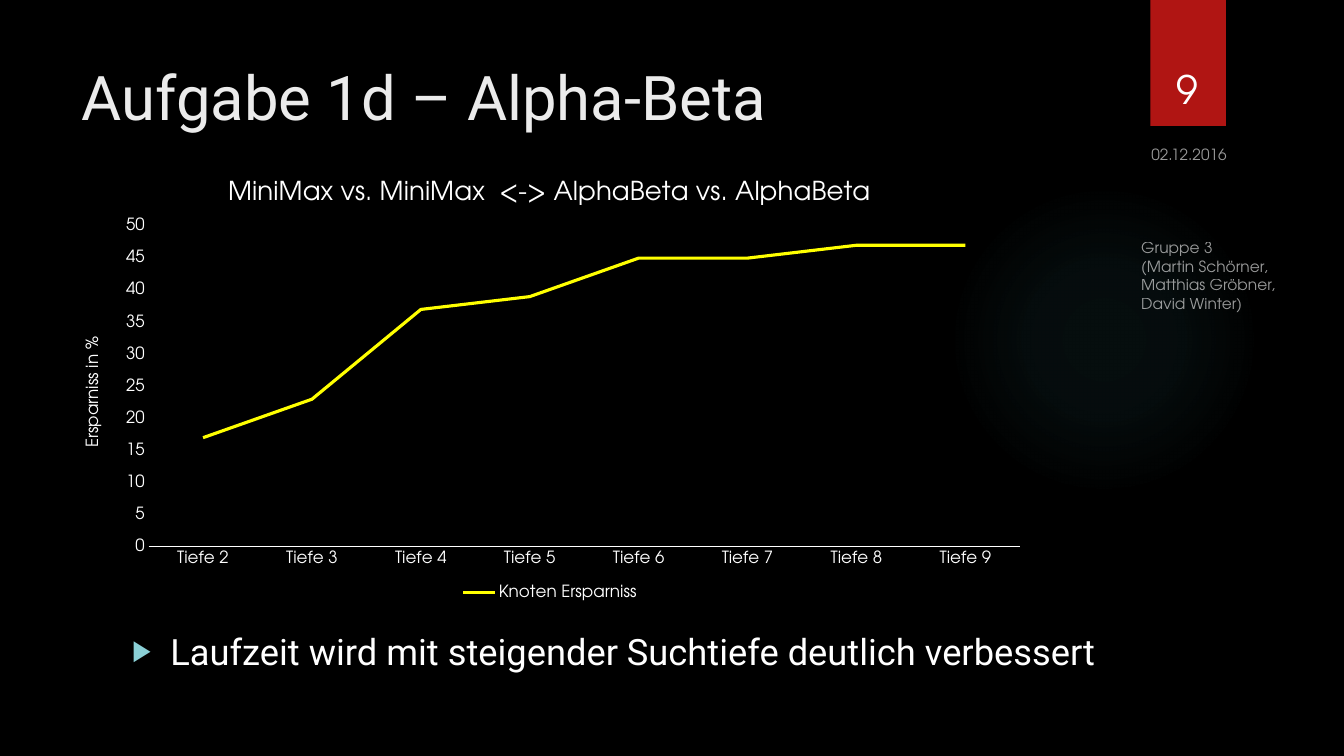
"""Builds the slide on the node savings of Alpha-Beta against MiniMax."""
from dataclasses import dataclass

from lxml import etree
from pptx import Presentation
from pptx import util as u
from pptx.chart.data import CategoryChartData
from pptx.dml.color import RGBColor
from pptx.enum import chart as ch, shapes, text
from pptx.oxml import parse_xml
from pptx.oxml.ns import nsdecls, qn

BODY_FONT = "Roboto"
LABEL_FONT = "TeX Gyre Adventor"
WHITE = "FFFFFF"
YELLOW = "FFFF00"


@dataclass
class Label:
    """A small text in the right-hand column."""
    box: tuple[float, float, float, float]
    lines: tuple[str, ...]
    size: float
    anchor: text.MSO_ANCHOR
    align: text.PP_ALIGN = text.PP_ALIGN.LEFT
    opacity: int = 100


LABELS = (
    Label((11.32, 1.39, 1.08, 0.33), ("02.12.2016",), 11, text.MSO_ANCHOR.TOP, opacity=60),
    Label((11.22, 1.97, 1.69, 1.18),
          ("Gruppe 3", "(Martin Schörner,", "Matthias Gröbner,", "David Winter)"),
          11, text.MSO_ANCHOR.BOTTOM, opacity=60),
    Label((11.32, 0.32, 0.92, 0.84), ("9",), 28, text.MSO_ANCHOR.BOTTOM, text.PP_ALIGN.CENTER),
)
SAVINGS = (17, 23, 37, 39, 45, 45, 47, 47)


def paint(fill, color: str) -> None:
    """Fill solidly with a hex colour."""
    fill.solid()
    fill.fore_color.rgb = RGBColor.from_string(color)


def style(font, size: float, color: str = WHITE, name: str = LABEL_FONT) -> None:
    """Set size, colour and typeface of a font."""
    font.size = u.Pt(size)
    font.name = name
    font.bold = False
    paint(font.fill, color)


def inches(box: tuple[float, ...]) -> list[u.Length]:
    """Turn a box in inches into lengths."""
    return [u.Inches(side) for side in box]


def place(shape, box: tuple[float, ...]) -> None:
    """Move and size a placeholder."""
    shape.left, shape.top, shape.width, shape.height = inches(box)


def add_plain_shape(slide, kind: shapes.MSO_SHAPE, box: tuple[float, ...], color: str):
    """Add a filled shape without outline or shadow."""
    shape = slide.shapes.add_shape(kind, *inches(box))
    shape.shadow.inherit = False
    shape.line.fill.background()
    paint(shape.fill, color)
    return shape


def add_glow(slide) -> None:
    """Add the faint round glow."""
    glow = add_plain_shape(slide, shapes.MSO_SHAPE.OVAL, (9.41, 1.83, 3.08, 3.08), "50B9C1")
    stops = "".join(
        f'<a:gs pos="{at * 1000}"><a:srgbClr val="50B9C1"><a:alpha val="{alpha * 1000}"/>'
        "</a:srgbClr></a:gs>" for at, alpha in ((0, 7), (36, 6), (69, 0)))
    gradient = parse_xml(
        f'<a:gradFill {nsdecls("a")} rotWithShape="1"><a:gsLst>{stops}</a:gsLst>'
        '<a:path path="circle"><a:fillToRect l="50000" t="50000" r="50000" b="50000"/>'
        "</a:path></a:gradFill>")
    properties = glow.element.spPr
    properties.replace(properties.find(qn("a:solidFill")), gradient)


def add_number_tab(slide) -> None:
    """Add the red tab behind the page number."""
    tab = add_plain_shape(slide, shapes.MSO_SHAPE.RECTANGLE, (11.41, 0, 0.75, 1.25), "B01513")
    tab.element.spPr.find(qn("a:effectLst")).append(parse_xml(
        f'<a:outerShdw {nsdecls("a")} blurRad="{u.Pt(3)}" dist="{u.Pt(2)}" dir="5400000" '
        'rotWithShape="0"><a:srgbClr val="000000"><a:alpha val="45000"/></a:srgbClr>'
        "</a:outerShdw>"))


def add_label(slide, label: Label) -> None:
    """Add one label of the right-hand column."""
    frame = slide.shapes.add_textbox(*inches(label.box)).text_frame
    frame.word_wrap = True
    frame.vertical_anchor = label.anchor
    paragraph = frame.paragraphs[0]
    paragraph.alignment = label.align
    for number, line in enumerate(label.lines):
        if number:
            paragraph.add_line_break()
        paragraph.add_run().text = line
    style(paragraph.font, label.size)
    if label.opacity < 100:
        for color in paragraph._p.iter(qn("a:srgbClr")):
            etree.SubElement(color, qn("a:alpha")).set("val", str(label.opacity * 1000))


def fill_title(title) -> None:
    """Write the heading."""
    place(title, (0.71, 0.5, 10.29, 0.9))
    title.text_frame.text = "Aufgabe 1d – Alpha-Beta"
    heading = title.text_frame.paragraphs[0]
    heading.alignment = text.PP_ALIGN.LEFT
    style(heading.font, 44, "EBEBEB", BODY_FONT)


def fill_conclusion(body) -> None:
    """Write the bulleted conclusion."""
    place(body, (1.21, 6.19, 9.78, 0.64))
    body.text_frame.text = "Laufzeit wird mit steigender Suchtiefe deutlich verbessert"
    conclusion = body.text_frame.paragraphs[0]
    conclusion.space_before = u.Pt(10)
    style(conclusion.font, 25.9, WHITE, BODY_FONT)
    properties = conclusion._p.get_or_add_pPr()
    properties.set("marL", str(u.Inches(0.38)))
    properties.set("indent", str(u.Inches(-0.38)))
    bullet = (f'<a:buClr {nsdecls("a")}><a:srgbClr val="8AD0D6"/></a:buClr>',
              f'<a:buSzPct {nsdecls("a")} val="80000"/>',
              f'<a:buChar {nsdecls("a")} char="▶"/>')
    for part in bullet:
        properties.find(qn("a:defRPr")).addprevious(parse_xml(part))


def set_heading(owner_frame, words: str, size: float) -> None:
    """Write a chart or axis title."""
    owner_frame.text = words
    style(owner_frame.paragraphs[0].font, size)


def add_savings_chart(slide) -> None:
    """Add the line chart of saved nodes per search depth."""
    data = CategoryChartData()
    data.categories = [f"Tiefe {depth}" for depth, _ in enumerate(SAVINGS, 2)]
    data.add_series("Knoten Ersparniss", SAVINGS)
    chart = slide.shapes.add_chart(
        ch.XL_CHART_TYPE.LINE, *inches((0.6, 1.58, 9.71, 4.42)), data).chart
    style(chart.font, 10)
    set_heading(chart.chart_title.text_frame,
                "MiniMax vs. MiniMax  <-> AlphaBeta vs. AlphaBeta", 18.6)
    chart.has_legend = True
    chart.legend.position = ch.XL_LEGEND_POSITION.BOTTOM
    chart.legend.include_in_layout = False
    style(chart.legend.font, 12)

    depths, percent = chart.category_axis, chart.value_axis
    for axis in (depths, percent):
        axis.major_tick_mark = axis.minor_tick_mark = ch.XL_TICK_MARK.NONE
        axis.has_major_gridlines = False
        style(axis.tick_labels.font, 12)
    paint(depths.format.line.fill, WHITE)
    depths.format.line.width = u.Pt(0.75)
    percent.format.line.fill.background()
    percent.minimum_scale, percent.maximum_scale, percent.major_unit = 0, 50, 5
    set_heading(percent.axis_title.text_frame, "Ersparniss in %", 12)

    plot = chart.plots[0]
    plot.vary_by_categories = False
    savings = plot.series[0]
    savings.smooth = False
    paint(savings.format.line.fill, YELLOW)
    savings.format.line.width = u.Pt(2.25)

    area = chart._chartSpace.chart.plotArea
    for old in area.findall(qn("c:layout")):
        area.remove(old)
    sides = "".join(f'<c:{side} val="{share}"/>' for side, share in
                    (("x", 0.09), ("y", 0.15), ("w", 0.89), ("h", 0.72)))
    area.insert(0, parse_xml(
        f'<c:layout {nsdecls("c")}><c:manualLayout><c:layoutTarget val="inner"/>'
        f'<c:xMode val="edge"/><c:yMode val="edge"/>{sides}</c:manualLayout></c:layout>'))


def main() -> None:
    """Build and save the slide."""
    deck = Presentation()
    deck.slide_width, deck.slide_height = u.Inches(13.33), u.Inches(7.5)
    slide = deck.slides.add_slide(deck.slide_layouts[1])
    paint(slide.background.fill, "000000")
    add_glow(slide)
    add_number_tab(slide)
    fill_title(slide.shapes.title)
    add_savings_chart(slide)
    for label in LABELS:
        add_label(slide, label)
    fill_conclusion(slide.placeholders[1])
    deck.save("out.pptx")


if __name__ == "__main__":
    main()
